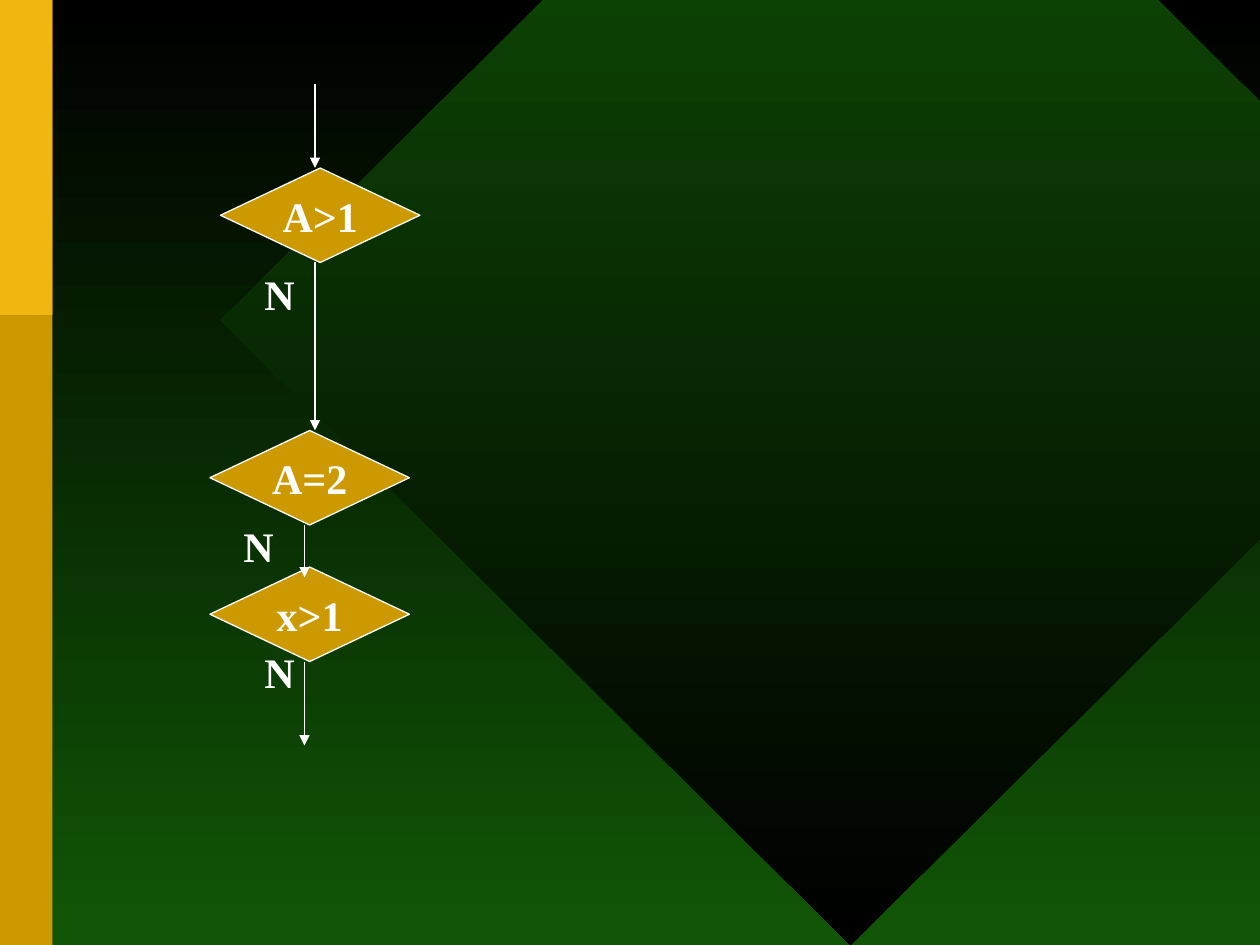
from lxml import etree
from pptx import Presentation, util as u
from pptx.dml.color import RGBColor
from pptx.enum import shapes, text
from pptx.oxml.ns import qn

HUES = {"gold": "CC9900", "sun": "F1B60F", "white": "FFFFFF",
        "green": "115606", "black": "000000"}
COLS, ROWS = 120, 90  # grid of twelfths of an inch


def hue(name):
    return RGBColor.from_string(HUES[name])


class Flow:
    """Holds the style and the current slide."""

    def __init__(self, deck):
        self.wide = deck.slide_width / COLS
        self.high = deck.slide_height / ROWS
        self.slide = deck.slides.add_slide(deck.slide_layouts[6])
        self.font, self.size, self.line = "Times New Roman", u.Pt(24), u.Pt(0.75)

    def place(self, *cells):
        """Turn column, row pairs into lengths."""
        units = (self.wide, self.high) * 2
        return [round(c * n) for c, n in zip(cells, units)]

    def fade(self, fill, top, end):
        fill.gradient()
        fill.gradient_angle = 270
        for stop, name in zip(fill.gradient_stops, (top, end)):
            stop.color.rgb = hue(name)

    def shape(self, kind, cells, name=None):
        item = self.slide.shapes.add_shape(kind, *self.place(*cells))
        item.shadow.inherit = False
        item.line.fill.background()
        if name:
            item.fill.solid()
            item.fill.fore_color.rgb = hue(name)
        return item

    def letter(self, frame, words, align):
        para = frame.paragraphs[0]
        para.text = words
        para.alignment = align
        font = para.font
        font.name, font.size, font.bold = self.font, self.size, True
        font.color.rgb = hue("white")

    def test(self, col, row, words):
        """Decision diamond with its condition."""
        item = self.shape(shapes.MSO_SHAPE.FLOWCHART_DECISION,
                          (col, row, 19, 9), "gold")
        item.line.color.rgb = hue("white")
        item.line.width = self.line
        frame = item.text_frame
        frame.word_wrap = False
        frame.vertical_anchor = text.MSO_ANCHOR.MIDDLE
        self.letter(frame, words, text.PP_ALIGN.CENTER)

    def arrow(self, col, row, end, home=None):
        """Downward arrow, on the slide or in a group."""
        item = (home or self.slide).shapes.add_connector(
            shapes.MSO_CONNECTOR.STRAIGHT, *self.place(col, row, col, end))
        item.line.color.rgb = hue("white")
        item.line.width = self.line
        props = item._element.spPr
        etree.SubElement(props.find(qn("a:ln")), qn("a:tailEnd"),
                         type="triangle")
        etree.SubElement(props, qn("a:effectLst"))

    def label(self, col, row, words, home):
        item = home.shapes.add_textbox(*self.place(col, row, 5, 6))
        frame = item.text_frame
        frame.word_wrap = True
        frame.auto_size = text.MSO_AUTO_SIZE.SHAPE_TO_FIT_TEXT
        self.letter(frame, words, text.PP_ALIGN.LEFT)

    def branch(self, col, row, end, left, top):
        """Grouped arrow and N label."""
        home = self.slide.shapes.add_group_shape()
        self.arrow(col, row, end, home)
        self.label(left, top, "N", home)


def main():
    deck = Presentation()
    deck.slide_width, deck.slide_height = u.Inches(10), u.Inches(7.5)
    flow = Flow(deck)

    # Backdrop: gradient, large diamond and side band
    flow.fade(flow.slide.background.fill, "black", "green")
    gem = flow.shape(shapes.MSO_SHAPE.DIAMOND, (21, -29, 120, 119))
    flow.fade(gem.fill, "green", "black")
    for tall, name in ((90, "gold"), (30, "sun")):
        flow.shape(shapes.MSO_SHAPE.RECTANGLE, (0, 0, 5, tall), name)

    # Decisions
    for col, row, words in ((21, 16, "A>1"), (20, 41, "A=2"), (20, 54, "x>1")):
        flow.test(col, row, words)

    # Entry arrow, then the N branches
    flow.arrow(30, 8, 16)
    for cells in ((30, 25, 41, 24, 25), (29, 50, 55, 22, 49),
                  (29, 63, 71, 24, 61)):
        flow.branch(*cells)

    deck.save("out.pptx")


if __name__ == "__main__":
    main()
